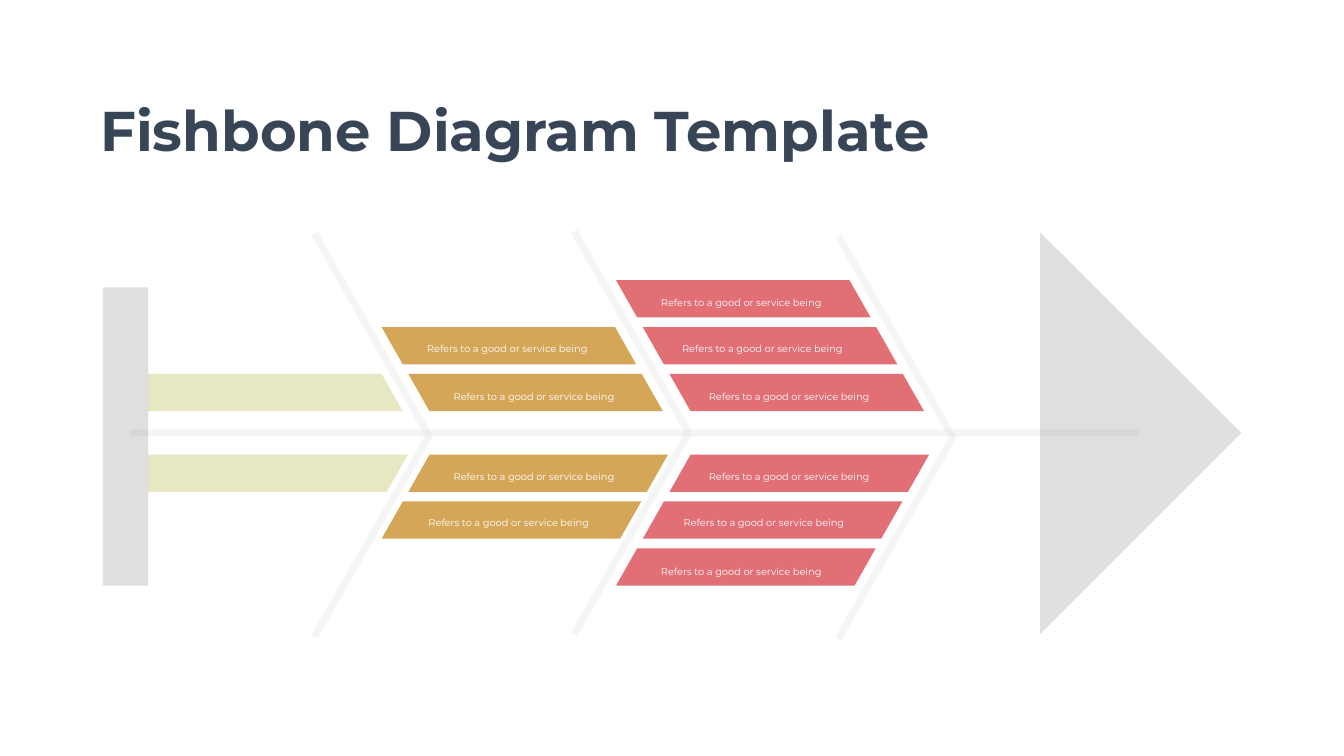
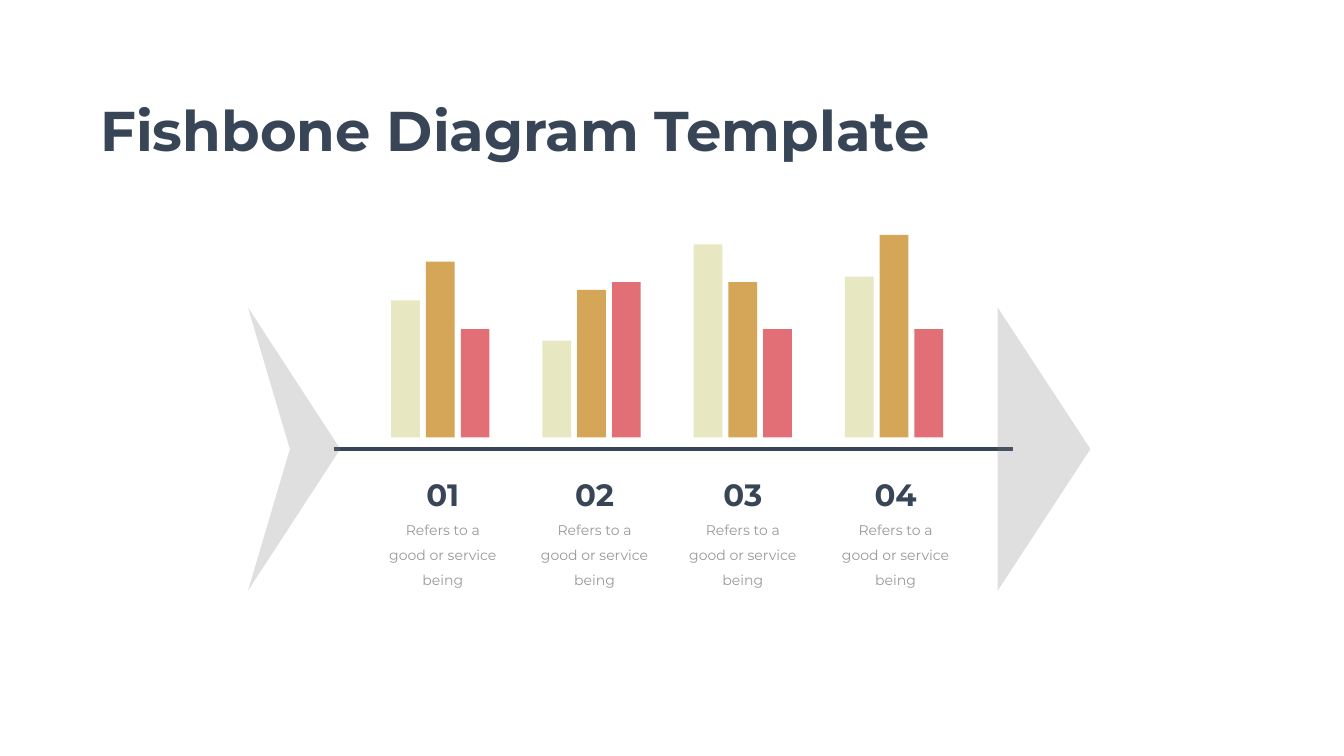
from lxml import etree
from pptx import Presentation
from pptx.dml.color import RGBColor
from pptx.enum.shapes import MSO_CONNECTOR, MSO_SHAPE
from pptx.enum.text import MSO_ANCHOR, MSO_AUTO_SIZE, PP_ALIGN
from pptx.oxml.ns import qn
from pptx.util import Inches, Pt

STRAIGHT = MSO_CONNECTOR.STRAIGHT
RECTANGLE = MSO_SHAPE.RECTANGLE
TOP = MSO_ANCHOR.TOP
GROW = MSO_AUTO_SIZE.SHAPE_TO_FIT_TEXT
LEFT, CENTER = PP_ALIGN.LEFT, PP_ALIGN.CENTER

FONT = "Montserrat"
NAVY, WHITE, GREY = "374556", "FFFFFF", "999999"
GREEN, GOLD, RED = "E7E8C1", "D5A657", "E26E76"
BONE, FISH = "D9D9D9", "808080"
BONE_WIDTH = 9.84
CAPTION = "Refers to a good or service being"
rgb = RGBColor.from_string


def outline(slide, points, color, opacity=100, closed=True):
    corners = [(Inches(x), Inches(y)) for x, y in points]
    builder = slide.shapes.build_freeform(*corners[0])
    builder.add_line_segments(corners[1:], close=closed)
    shape = builder.convert_to_shape()
    shape.shadow.inherit = False
    if closed:
        shape.fill.solid()
        shape.fill.fore_color.rgb = rgb(color)
        shape.line.fill.background()
    else:
        shape.fill.background()
        shape.line.color.rgb = rgb(color)
        shape.line.width = Pt(BONE_WIDTH)
    if opacity < 100:
        for tint in shape.element.spPr.iter(qn("a:srgbClr")):
            etree.SubElement(tint, qn("a:alpha"), val=str(opacity * 1000))


def label(slide, box, text, size, color, align=LEFT, heading=False):
    frame = slide.shapes.add_textbox(*map(Inches, box)).text_frame
    frame.word_wrap = True
    frame.auto_size = GROW
    frame.text = text
    paragraph = frame.paragraphs[0]
    paragraph.alignment = align
    if not heading:
        frame.margin_left = frame.margin_right = Inches(0.24)
        frame.margin_top = frame.margin_bottom = Inches(0.12)
        paragraph.line_spacing = 1.5
    font = paragraph.runs[0].font
    font.name, font.size, font.bold = FONT, Pt(size), heading
    font.color.rgb = rgb(color)


prs = Presentation()
prs.slide_width, prs.slide_height = Inches(26.66), Inches(15)
background = prs.slide_master.background.fill
background.solid()
background.fore_color.rgb = rgb("FEFFFE")

spines = [(2.57, 22.58, 8.59, BONE, BONE_WIDTH, 25), (6.62, 20.1, 8.91, NAVY, 5.5, 100)]
for start, end, y, color, width, opacity in spines:
    slide = prs.slides.add_slide(prs.slide_layouts[5])
    title = slide.shapes.title
    title.left, title.top = Inches(1.89), Inches(1.85)
    title.width, title.height = Inches(16.71), Inches(1.45)
    heading = title.text_frame
    heading.text = "Fishbone Diagram Template"
    heading.word_wrap = False
    heading.auto_size = GROW
    heading.vertical_anchor = TOP
    heading.paragraphs[0].alignment = LEFT
    font = heading.paragraphs[0].runs[0].font
    font.name, font.size, font.bold = FONT, Pt(80), True
    font.color.rgb = rgb(NAVY)

    spine = slide.shapes.add_connector(
        STRAIGHT, Inches(start), Inches(y), Inches(end), Inches(y))
    spine.line.color.rgb = rgb(color)
    spine.line.width = Pt(width)
    spine_properties = spine.element.spPr
    etree.SubElement(spine_properties, qn("a:effectLst"))
    if opacity < 100:
        for tint in spine_properties.iter(qn("a:srgbClr")):
            etree.SubElement(tint, qn("a:alpha"), val=str(opacity * 1000))

causes, bars = prs.slides

SLANT, STRIP_HEIGHT = 0.42, 0.74
ROW_STEP, ROW_SHIFT = 0.93, 0.53
branches = [(2.94, GREEN, 1), (8.1, GOLD, 2), (13.28, RED, 3)]
sides = [(8.16, -1, 5.05), (9.02, 1, 5.15)]

for branch_left, color, rows in branches:
    for edge, direction, length in sides:
        for row in range(rows):
            left = branch_left - row * ROW_SHIFT
            right = left + length
            near = edge + direction * row * ROW_STEP
            far = near + direction * STRIP_HEIGHT
            near_left = left if color == GREEN else left + SLANT
            outline(causes, [(near_left, near), (right, near),
                             (right - SLANT, far), (left, far)], color)

for left, top in [(16.63, 4.68), (11.39, 4.59), (6.24, 4.64)]:
    outline(causes, [(left, top), (left + 2.27, top + 4), (left, top + 7.99)],
            BONE, 25, closed=False)
outline(causes, [(20.63, 4.61), (24.62, 8.59), (20.63, 12.58)], FISH, 25)
outline(causes, [(2.04, 5.7), (2.94, 5.7), (2.94, 11.62), (2.04, 11.62)], FISH, 25)

caption_rows = [(7.52, [8.76, 13.82]), (6.57, [8.23, 13.29]), (5.66, [12.87]),
                (9.1, [8.76, 13.82]), (10.02, [8.26, 13.32]), (10.99, [12.87])]
for top, lefts in caption_rows:
    for left in lefts:
        label(causes, (left, top, 3.86, 0.55), CAPTION, 14, WHITE)

BASELINE = 8.68
groups = [(7.42, [2.72, 3.49, 2.15]), (10.43, [1.92, 2.93, 3.08]),
          (13.37, [3.83, 3.08, 2.15]), (16.4, [3.19, 4.02, 2.15])]

for group, (caption_left, heights) in enumerate(groups):
    for series, (height, color) in enumerate(zip(heights, [GREEN, GOLD, RED])):
        bar = bars.shapes.add_shape(
            RECTANGLE, Inches(7.76 + 3 * group + 0.69 * series),
            Inches(BASELINE - height), Inches(0.57), Inches(height))
        bar.shadow.inherit = False
        bar.fill.solid()
        bar.fill.fore_color.rgb = rgb(color)
        bar.line.fill.background()

outline(bars, [(19.79, 6.1), (19.79, 11.72), (21.63, 8.91)], FISH, 25)
outline(bars, [(4.92, 6.1), (5.75, 8.91), (4.92, 11.72), (6.75, 8.91)], FISH, 25)

for number, (left, heights) in enumerate(groups, 1):
    label(bars, (left, 10.06, 2.73, 1.19), CAPTION, 20, GREY, CENTER)
    label(bars, (left + 0.57, 9.38, 1.59, 0.84), f"{number:02}", 44, NAVY, CENTER, True)

prs.save("out.pptx")
